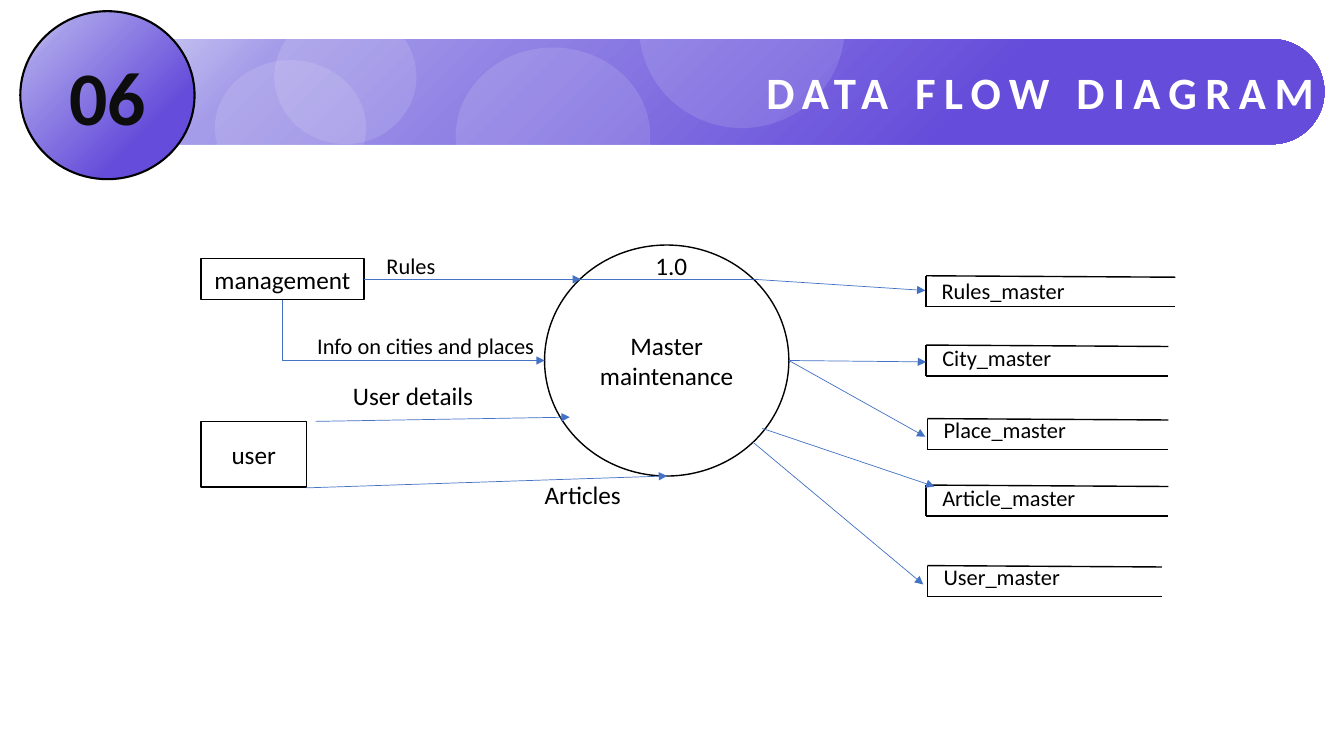
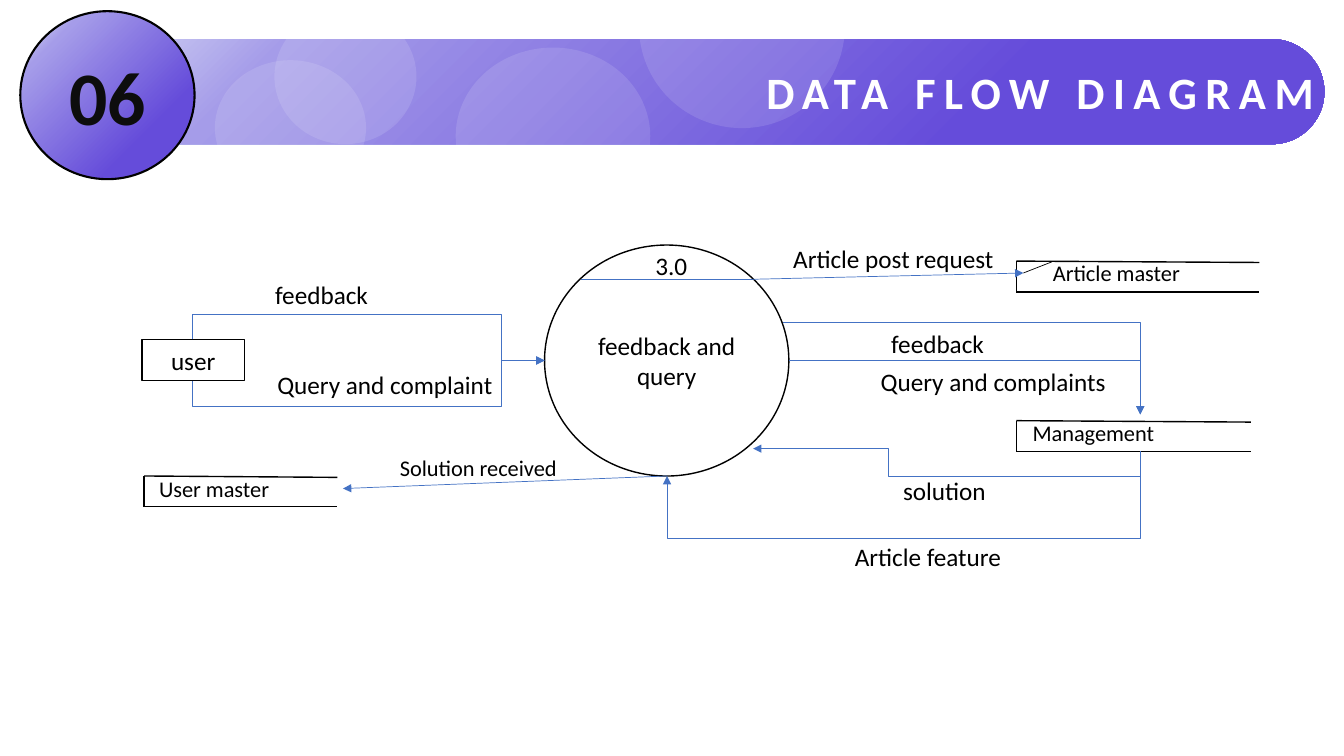
"""Build two data flow diagram slides with a shared banner."""
import copy
import math

import lxml.etree
import pptx
import pptx.dml.color
import pptx.enum.shapes
import pptx.enum.text
import pptx.oxml
import pptx.oxml.ns
import pptx.util

Pt = pptx.util.Pt
qn = pptx.oxml.ns.qn
rgb = pptx.dml.color.RGBColor.from_string
SHAPE = pptx.enum.shapes.MSO_SHAPE
ALIGN = pptx.enum.text.PP_ALIGN
MIDDLE = pptx.enum.text.MSO_ANCHOR.MIDDLE
TOP = pptx.enum.text.MSO_ANCHOR.TOP
BLACK, WHITE, BLUE = "000000", "FFFFFF", "4472C4"

gradient = pptx.oxml.parse_xml(
    '<a:gradFill xmlns:a="http://schemas.openxmlformats.org/drawingml/2006/main" rotWithShape="1"><a:gsLst>'
    + "".join(f'<a:gs pos="{pos}000"><a:srgbClr val="{color}"/></a:gs>'
              for pos, color in ((27, "654CDA"), (81, "A59CE9"), (100, "E5EBF7")))
    + '</a:gsLst><a:path path="circle"><a:fillToRect l="100000" t="100000"/></a:path></a:gradFill>')

arc = [(908.5 + 37.5 * math.sin(math.radians(a)), 65.5 - 37.5 * math.cos(math.radians(a)))
       for a in range(0, 181, 5)]
band_outline = [(14.5, 65.5), (123, 28), *arc, (127, 103)]
spots = [(325.5, 34, 139, 126.5), (196, 6.5, 101.5, 96.5),
         (456.5, -53.5, 147, 145), (153.5, 43, 108, 96.5)]
process_box = (389, 175, 174.5, 165)
chord = [(415, 199.5), (538, 199.5)]

diagrams = [
    dict(
        process="Master maintenance",
        boxes=[(143.5, 184.5, 116.5, 29.5, "management"), (143.5, 301, 75.5, 47, "user")],
        stores=[(661.5, 197, 839.5, 665.5, 194.5, "Rules_master"),
                (661.5, 246.5, 834.5, 666, 242, "City_master"),
                (662.5, 299, 834.5, 667, 294, "Place_master"),
                (661.5, 346.5, 834.5, 666, 342, "Article_master"),
                (662.5, 404, 830, 667, 399, "User_master")],
        labels=[(461, 175, 40, 18, "1.0"),
                (269, 176.5, 60, 16, "Rules"),
                (219.5, 234, 171.5, 16, "Info on cities and places"),
                (245, 268, 101.5, 18, "User details"),
                (382, 339, 80, 18, "Articles")],
        flows=[[(260, 199.5), (415, 199.5)],
               [(201.5, 214), (201.5, 257.5), (389, 257.5)],
               [(225.5, 301), (407, 298)],
               [(218.5, 348.5), (476.5, 340)],
               [(538, 199.5), (661, 207.5)],
               [(563.5, 257.5), (661.5, 258.5)],
               [(563.5, 257.5), (661, 312)],
               [(544.5, 306), (667.5, 347.5)],
               [(538, 316), (659.5, 417.5)]],
        ticks=[]),
    dict(
        process="feedback and query",
        boxes=[(101.5, 242.5, 73, 29.5, "user")],
        stores=[(726, 300.5, 893.5, 730.5, 296, "Management"),
                (103, 340, 241, 106.5, 335.5, "User master"),
                (726, 186.5, 899.5, 745, 181.5, "Article master")],
        labels=[(461, 175, 40, 18, "3.0"),
                (189.5, 196, 81.5, 18, "feedback"),
                (191, 260.5, 176.5, 18, "Query and complaint"),
                (559.5, 170, 159, 18, "Article post request"),
                (638, 336, 74, 18, "solution"),
                (278.5, 320.5, 128, 16, "Solution received"),
                (622, 258, 177, 18, "Query and complaints"),
                (629.5, 231, 81.5, 18, "feedback"),
                (603.5, 383, 120, 18, "Article feature")],
        flows=[[(137.5, 272), (137.5, 290), (358, 290), (358, 257.5), (389, 257.5)],
               [(137.5, 242.5), (137.5, 224.5), (358.5, 224.5), (358.5, 257.5), (389, 257.5)],
               [(538, 199.5), (731, 195)],
               [(476.5, 340), (245, 349)],
               [(814.5, 322.5), (814.5, 340.5), (634.5, 340.5), (634.5, 320.5), (538, 320.5)],
               [(563.5, 257.5), (814.5, 257.5), (814.5, 296)],
               [(559.5, 230.5), (814.5, 230.5), (814.5, 296)],
               [(814.5, 322.5), (814.5, 384.5), (476.5, 384.5), (476.5, 340)]],
        ticks=[[(751.5, 187), (731, 195)]]),
]


def write(sp, text, size=18, color=BLACK, bold=False, align=ALIGN.CENTER, anchor=MIDDLE, spacing=0):
    """Put one formatted line of text in a shape."""
    tf = sp.text_frame
    tf.word_wrap = True
    tf.vertical_anchor = anchor
    p = tf.paragraphs[0]
    p.alignment = align
    r = p.add_run()
    r.text = text
    r.font.name, r.font.size, r.font.bold = "Calibri", Pt(size), bold
    r.font.color.rgb = rgb(color)
    if spacing:
        r._r.get_or_add_rPr().set("spc", str(spacing * 100))


def draw_line(s, points, color=BLUE, width=0.5, arrow=False):
    """Draw a straight connector, or a bent line through more than two points."""
    pts = [(Pt(x), Pt(y)) for x, y in points]
    if len(pts) == 2:
        sp = s.shapes.add_connector(pptx.enum.shapes.MSO_CONNECTOR.STRAIGHT, *pts[0], *pts[1])
    else:
        builder = s.shapes.build_freeform(*pts[0])
        builder.add_line_segments(pts[1:], close=False)
        sp = builder.convert_to_shape()
        sp.fill.background()
    sp.line.color.rgb = rgb(color)
    sp.line.width = Pt(width)
    if arrow:
        lxml.etree.SubElement(sp.line._get_or_add_ln(), qn("a:tailEnd"), type="triangle")
    lxml.etree.SubElement(sp._element.spPr, qn("a:effectLst"))


prs = pptx.Presentation()
prs.slide_width, prs.slide_height = Pt(960), Pt(540)

for diagram in diagrams:
    s = prs.slides.add_slide(prs.slide_layouts[5])

    builder = s.shapes.build_freeform(*map(Pt, band_outline[0]))
    builder.add_line_segments([(Pt(x), Pt(y)) for x, y in band_outline[1:]])
    band = builder.convert_to_shape()
    badge = s.shapes.add_shape(SHAPE.OVAL, Pt(14.5), Pt(8), Pt(124.5), Pt(120))
    for sp in (band, badge):
        sp.shadow.inherit = False
        sp.fill.solid()
        spPr = sp._element.spPr
        spPr.replace(spPr.find(qn("a:solidFill")), copy.deepcopy(gradient))
    band.line.fill.background()
    badge.line.color.rgb = rgb(BLACK)
    badge.line.width = Pt(1.5)
    write(badge, "06", size=54, color="0D0D0D", bold=True)

    title = s.shapes.title
    title.left, title.top, title.width, title.height = Pt(14.5), Pt(28), Pt(931.5), Pt(75)
    write(title, "DATA FLOW DIAGRAM", size=32, color=WHITE, bold=True, align=ALIGN.RIGHT, spacing=6)
    title._element.getparent().append(title._element)

    for spot in spots:
        sp = s.shapes.add_shape(SHAPE.OVAL, *map(Pt, spot))
        sp.shadow.inherit = False
        sp.fill.solid()
        sp.fill.fore_color.rgb = rgb(WHITE)
        sp.line.fill.background()
        color = sp._element.spPr.find(qn("a:solidFill"))[0]
        lxml.etree.SubElement(color, qn("a:alpha"), val="12000")

    nodes = [(SHAPE.OVAL, *process_box, diagram["process"])]
    nodes += [(SHAPE.RECTANGLE, *box) for box in diagram["boxes"]]
    for kind, x, y, w, h, text in nodes:
        sp = s.shapes.add_shape(kind, Pt(x), Pt(y), Pt(w), Pt(h))
        sp.shadow.inherit = False
        sp.fill.solid()
        sp.fill.fore_color.rgb = rgb(WHITE)
        sp.line.color.rgb = rgb(BLACK)
        sp.line.width = Pt(1)
        write(sp, text)

    labels = list(diagram["labels"])
    for left, top, right, text_left, text_top, text in diagram["stores"]:
        bottom = top + 22
        for end_points in ([(left, top), (left, bottom)],
                           [(left, top), (right, top + 1)],
                           [(left, bottom), (right, bottom)]):
            draw_line(s, end_points, color=BLACK, width=1)
        labels.append((text_left, text_top, right - text_left, 16, text))

    draw_line(s, chord)
    for points in diagram["flows"]:
        draw_line(s, points, arrow=True)
    for points in diagram["ticks"]:
        draw_line(s, points, color=BLACK)

    for x, y, w, size, text in labels:
        sp = s.shapes.add_textbox(Pt(x), Pt(y), Pt(w + 6), Pt(size * 1.2 + 7.4))
        write(sp, text, size=size, align=ALIGN.LEFT, anchor=TOP)

prs.save("out.pptx")
